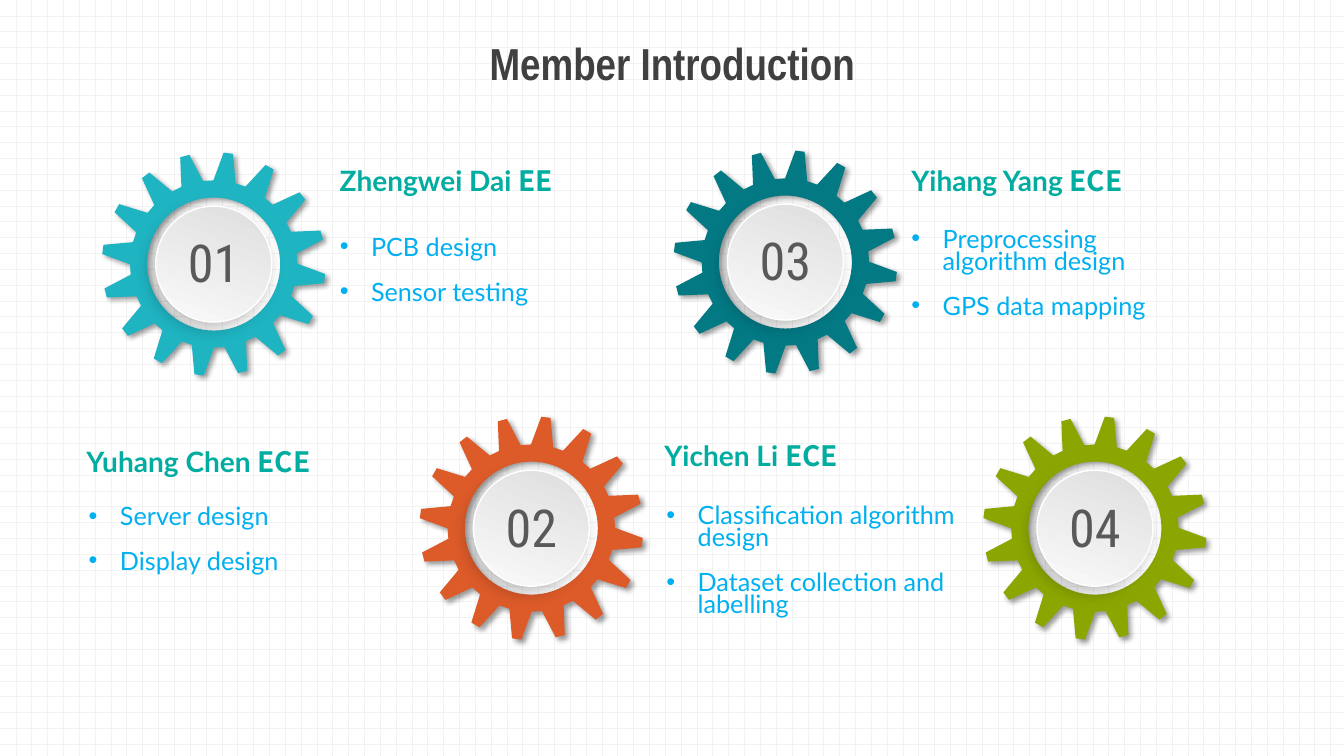
from math import cos, radians, sin

from pptx import Presentation
from pptx.dml.color import RGBColor
from pptx.enum.dml import MSO_PATTERN
from pptx.enum.shapes import MSO_SHAPE
from pptx.enum.text import MSO_ANCHOR, MSO_AUTO_SIZE, PP_ALIGN
from pptx.oxml import parse_xml
from pptx.oxml.ns import nsdecls, qn
from pptx.util import Inches, Pt

CENTER, JUSTIFY, LEFT = PP_ALIGN.CENTER, PP_ALIGN.JUSTIFY, PP_ALIGN.LEFT
TOP, MIDDLE = MSO_ANCHOR.TOP, MSO_ANCHOR.MIDDLE
FIXED_SIZE = MSO_AUTO_SIZE.NONE
OVAL = MSO_SHAPE.OVAL
DOT_GRID = MSO_PATTERN.DOTTED_GRID
COMPARISON_LAYOUT = 4

TEETH = 16
FIRST_TOOTH = 7.5
TOOTH_PROFILE = [(-7.7, 0.83), (-2.4, 1.11), (2.4, 1.11), (7.7, 0.83)]
HOLE_RADIUS = 0.66
DISC_SIZE = 1.15

# number, gear colour, gear centre, name, field, name corner, duties box, alignment, duties
MEMBERS = [
    ("01", "1FB4C2", (2.12, 2.62), "Zhengwei Dai ", "EE", (3.27, 1.68),
     (3.27, 2.32, 2.94, 0.78), JUSTIFY, ["PCB design", "Sensor testing"]),
    ("03", "037984", (7.79, 2.6), "Yihang Yang ", "ECE", (8.94, 1.68),
     (8.94, 2.24, 3.03, 1.01), JUSTIFY,
     ["Preprocessing algorithm design", "GPS data mapping"]),
    ("02", "DD5B29", (5.27, 5.24), "Yuhang Chen ", "ECE", (0.76, 4.47),
     (0.78, 4.99, 3.08, 0.78), LEFT, ["Server design", "Display design"]),
    ("04", "8CA601", (10.86, 5.24), "Yichen Li ", "ECE", (6.49, 4.41),
     (6.51, 4.98, 3.08, 1.23), LEFT,
     ["Classification algorithm design", "Dataset collection and labelling"]),
]


def color(hex_value):
    return RGBColor.from_string(hex_value)


def outer_shadow(alpha, blur, distance, angle):
    return parse_xml(
        f'<a:outerShdw {nsdecls("a")} blurRad="{Pt(blur)}" dist="{Pt(distance)}" '
        f'dir="{angle * 60000}" algn="ctr" rotWithShape="0"><a:srgbClr val="000000">'
        f'<a:alpha val="{alpha * 1000}"/></a:srgbClr></a:outerShdw>')


def cast_shadow(shape, *settings):
    shape.shadow.inherit = False
    shape._element.spPr.find(qn("a:effectLst")).append(outer_shadow(*settings))


def add_bullet(paragraph):
    properties = paragraph._p.get_or_add_pPr()
    properties.set("marL", str(Inches(0.31)))
    properties.set("indent", str(-Inches(0.31)))
    for bullet in ('buFont {} typeface="Arial"', 'buChar {} char="•"'):
        properties.append(parse_xml(f'<a:{bullet.format(nsdecls("a"))}/>'))


def write(paragraph, text, *, font, size, fill, bold=False, align=LEFT,
          spacing=None, before=0):
    """Append a formatted run to the paragraph and return it."""
    paragraph.alignment = align
    paragraph.line_spacing = spacing
    paragraph.space_before = Pt(before)
    run = paragraph.add_run()
    run.text = text
    run.font.name, run.font.size, run.font.bold = font, Pt(size), bold
    run.font.color.rgb = color(fill)
    return run


class MemberSlide:
    title_style = dict(font="Arial Narrow", size=32, fill="404040", bold=True,
                       align=CENTER, spacing=0.9)
    name_style = dict(size=20, fill="00ADA0", bold=True, align=JUSTIFY, spacing=Pt(16))
    duty_style = dict(font="Lato", size=18, fill="00B0F0", spacing=Pt(16))
    number_style = dict(font="Roboto Condensed", size=37.3, fill="595959", align=CENTER)

    def __init__(self, presentation):
        layout = presentation.slide_layouts[COMPARISON_LAYOUT]
        self.slide = presentation.slides.add_slide(layout)
        self.shapes = self.slide.shapes
        grid = self.slide.background.fill
        grid.patterned()
        grid.pattern = DOT_GRID
        grid.fore_color.rgb, grid.back_color.rgb = color("F2F2F2"), color("FFFFFF")

    def place(self, holder, box, anchor=TOP):
        """Move a text holder to the box and return its text frame."""
        holder.left, holder.top, holder.width, holder.height = map(Inches, box)
        frame = holder.text_frame
        frame.word_wrap = True
        frame.auto_size = FIXED_SIZE
        frame.vertical_anchor = anchor
        return frame

    def text_box(self, box):
        holder = self.shapes.add_textbox(*map(Inches, box))
        return self.place(holder, box).paragraphs[0]

    def title(self, text):
        frame = self.place(self.shapes.title, (3.41, 0.36, 6.52, 0.58), MIDDLE)
        write(frame.paragraphs[0], text, **self.title_style)

    def gear(self, center, fill):
        def point(angle, radius):
            turn = radians(angle)
            return (Inches(center[0] + radius * sin(turn)),
                    Inches(center[1] - radius * cos(turn)))

        rim = [point(FIRST_TOOTH + tooth * 360 / TEETH + offset, radius)
               for tooth in range(TEETH) for offset, radius in TOOTH_PROFILE]
        hole = [point(-angle, HOLE_RADIUS) for angle in range(0, 360, 5)]
        outline = self.shapes.build_freeform(*rim[0], scale=1.0)
        outline.add_line_segments(rim[1:])
        outline.move_to(*hole[0])
        outline.add_line_segments(hole[1:])
        gear = outline.convert_to_shape()
        gear.fill.solid()
        gear.fill.fore_color.rgb = color(fill)
        gear.line.fill.background()
        cast_shadow(gear, 40, 4, 3, 45)

    def disc(self, center):
        corner = [Inches(middle - DISC_SIZE / 2) for middle in center]
        disc = self.shapes.add_shape(OVAL, *corner, Inches(DISC_SIZE), Inches(DISC_SIZE))
        disc.rotation = 336.2
        disc.fill.gradient()
        disc.fill.gradient_angle = 45
        for stop, shade in zip(disc.fill.gradient_stops, ("FFFFFF", "D9D9D9")):
            stop.color.rgb = color(shade)
        disc.line.color.rgb = color("FFFFFF")
        disc.line.width = Pt(1)
        cast_shadow(disc, 26, 12, 5, 135)

    def number(self, center, text):
        x, y = center
        paragraph = self.text_box((x - 0.45, y - 0.38, 0.9, 0.73))
        digits = write(paragraph, text, **self.number_style)
        effects = parse_xml(f'<a:effectLst {nsdecls("a")}/>')
        effects.append(outer_shadow(40, 3, 2, 45))
        digits.font._element.find(qn("a:solidFill")).addnext(effects)

    def name(self, corner, name, field):
        paragraph = self.text_box((*corner, 2.94, 0.34))
        write(paragraph, name, font="Lato", **self.name_style)
        write(paragraph, field, font="Noto Sans CJK SC", **self.name_style)

    def duties(self, index, box, align, duties):
        frame = self.place(self.slide.placeholders[index], box)
        for position, duty in enumerate(duties):
            paragraph = frame.add_paragraph() if position else frame.paragraphs[0]
            add_bullet(paragraph)
            write(paragraph, duty, align=align, before=16 if position else 0,
                  **self.duty_style)


def main():
    presentation = Presentation()
    presentation.slide_width, presentation.slide_height = Inches(13.33), Inches(7.5)
    page = MemberSlide(presentation)
    page.title("Member Introduction")
    for index, member in enumerate(MEMBERS, start=1):
        number, fill, center, name, field, corner, box, align, duties = member
        page.gear(center, fill)
        page.disc(center)
        page.number(center, number)
        page.name(corner, name, field)
        page.duties(index, box, align, duties)
    presentation.save("out.pptx")


if __name__ == "__main__":
    main()
